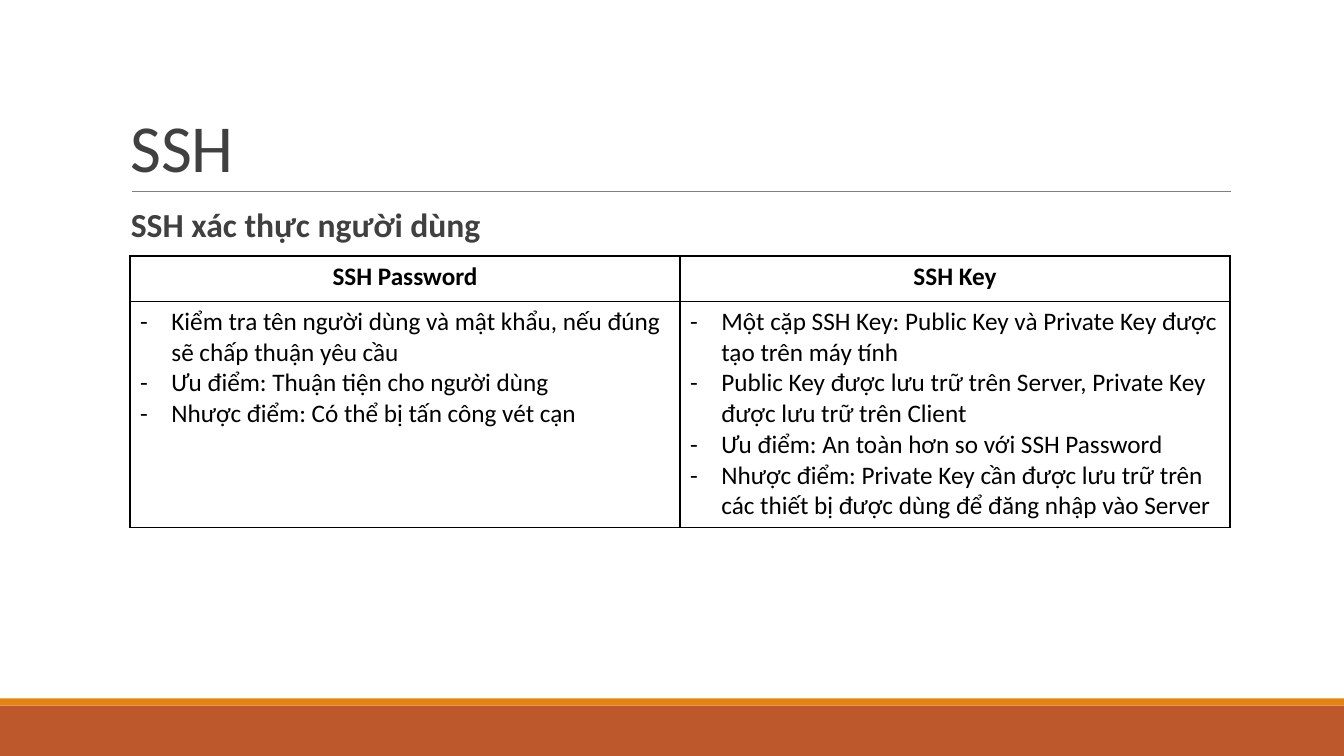
from lxml import etree
from pptx import Presentation
from pptx import util as u
from pptx.dml.color import RGBColor
from pptx.enum import shapes, text
from pptx.oxml.ns import qn

FONT = "Calibri"
BLACK = RGBColor(0x00, 0x00, 0x00)
CHARCOAL = RGBColor(0x40, 0x40, 0x40)
GREY = RGBColor(0x80, 0x80, 0x80)
ORANGE = RGBColor(0xE4, 0x83, 0x12)
RUST = RGBColor(0xBD, 0x58, 0x2C)

METHODS = {
    "SSH Password": [
        "Kiểm tra tên người dùng và mật khẩu, nếu đúng sẽ chấp thuận yêu cầu",
        "Ưu điểm: Thuận tiện cho người dùng",
        "Nhược điểm: Có thể bị tấn công vét cạn",
    ],
    "SSH Key": [
        "Một cặp SSH Key: Public Key và Private Key được tạo trên máy tính",
        "Public Key được lưu trữ trên Server, Private Key được lưu trữ trên Client",
        "Ưu điểm: An toàn hơn so với SSH Password",
        "Nhược điểm: Private Key cần được lưu trữ trên các thiết bị được dùng "
        "để đăng nhập vào Server",
    ],
}


def write(frame, lines, size=18, color=BLACK, bold=False, align=text.PP_ALIGN.LEFT,
          line_spacing=1.0, tracking=None, bullet=None):
    """Fill a text frame, one paragraph per line; tracking is in points."""
    frame.word_wrap = True
    for index, line in enumerate(lines):
        para = frame.add_paragraph() if index else frame.paragraphs[0]
        para.alignment = align
        para.line_spacing = line_spacing
        span = para.add_run()
        span.text = line
        span.font.name = FONT
        span.font.size = u.Pt(size)
        span.font.bold = bold
        span.font.color.rgb = color
        if tracking:
            span.font._element.set("spc", str(round(tracking * 100)))
        if bullet:
            hanging = u.Inches(0.31)
            properties = para._p.get_or_add_pPr()
            properties.set("marL", str(hanging))
            properties.set("indent", str(-hanging))
            etree.SubElement(properties, qn("a:buFont"), typeface=FONT)
            etree.SubElement(properties, qn("a:buChar"), char=bullet)


def add_text(page, left, top, width, height, line,
             anchor=text.MSO_ANCHOR.TOP, **style):
    box = page.shapes.add_textbox(*map(u.Inches, (left, top, width, height)))
    box.text_frame.vertical_anchor = anchor
    write(box.text_frame, [line], **style)


def add_band(page, left, top, width, height, color):
    band = page.shapes.add_shape(shapes.MSO_SHAPE.RECTANGLE,
                                 *map(u.Inches, (left, top, width, height)))
    band.shadow.inherit = False
    band.fill.solid()
    band.fill.fore_color.rgb = color
    band.line.fill.background()


def add_footer(page, top, width, bottom, stripe=0.07):
    add_band(page, 0, top + stripe, width, bottom - top - stripe, RUST)
    add_band(page, 0, top, width, stripe, ORANGE)


def add_heading(page, left, top, width, height):
    """Title resting on a thin rule."""
    bottom = top + height
    rule = page.shapes.add_connector(
        shapes.MSO_CONNECTOR.STRAIGHT,
        *map(u.Inches, (left + 0.11, bottom, left + width + 0.01, bottom)))
    rule.line.color.rgb = GREY
    rule.line.width = u.Pt(0.5)
    etree.SubElement(rule._element.spPr, qn("a:effectLst"))
    add_text(page, left, top, width, height, "SSH", anchor=text.MSO_ANCHOR.BOTTOM,
             size=48, color=CHARCOAL, line_spacing=0.85, tracking=-0.5)


def outline(cell, color=BLACK, width=1):
    properties = cell._tc.get_or_add_tcPr()
    for side in ("lnL", "lnR", "lnT", "lnB"):
        border = etree.SubElement(properties, qn(f"a:{side}"), w=str(u.Pt(width)))
        fill = etree.SubElement(border, qn("a:solidFill"))
        etree.SubElement(fill, qn("a:srgbClr"), val=str(color))
    cell.fill.background()


def add_comparison(page, left, top, width, row_heights):
    frame = page.shapes.add_table(
        len(row_heights), len(METHODS),
        *map(u.Inches, (left, top, width, sum(row_heights))))
    table = frame.table
    table.horz_banding = False
    for row, height in zip(table.rows, row_heights):
        row.height = u.Inches(height)
    for column, (method, points) in enumerate(METHODS.items()):
        header, body = table.cell(0, column), table.cell(1, column)
        write(header.text_frame, [method], bold=True, align=text.PP_ALIGN.CENTER)
        write(body.text_frame, points, bullet="-")
        outline(header)
        outline(body)


def build_comparison_slide(deck):
    page = deck.slides.add_slide(deck.slide_layouts[6])
    add_footer(page, 6.93, 13.33, 7.5)
    add_heading(page, 1.2, 0.31, 11, 1.59)
    add_text(page, 1.2, 2.02, 11, 0.5, "SSH xác thực người dùng",
             size=24, color=CHARCOAL, bold=True, line_spacing=0.9)
    add_comparison(page, 1.29, 2.54, 10.91, [0.45, 2.24])


def main():
    deck = Presentation()
    deck.slide_width = u.Inches(13.33)
    deck.slide_height = u.Inches(7.5)
    build_comparison_slide(deck)
    deck.save("out.pptx")


if __name__ == "__main__":
    main()
